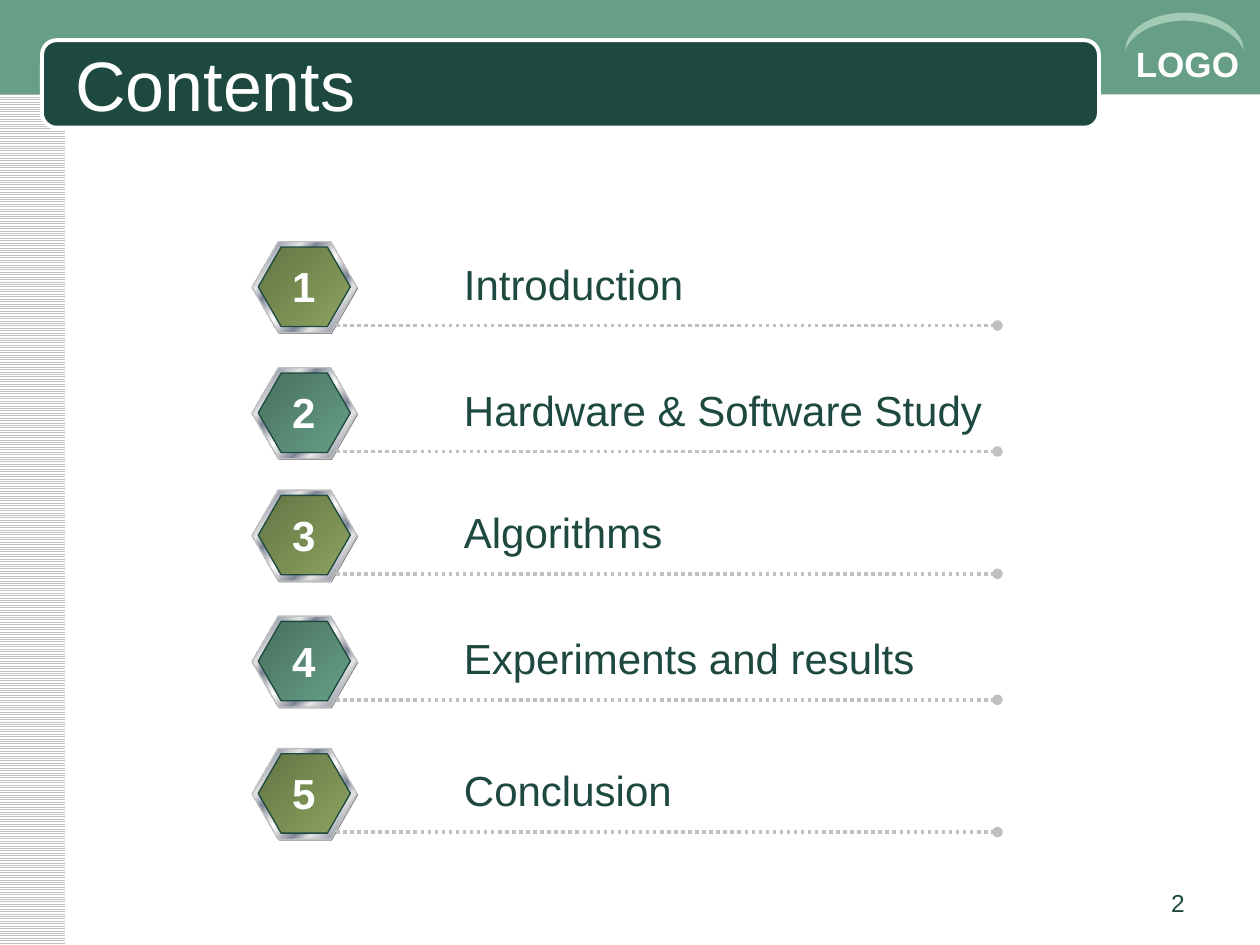
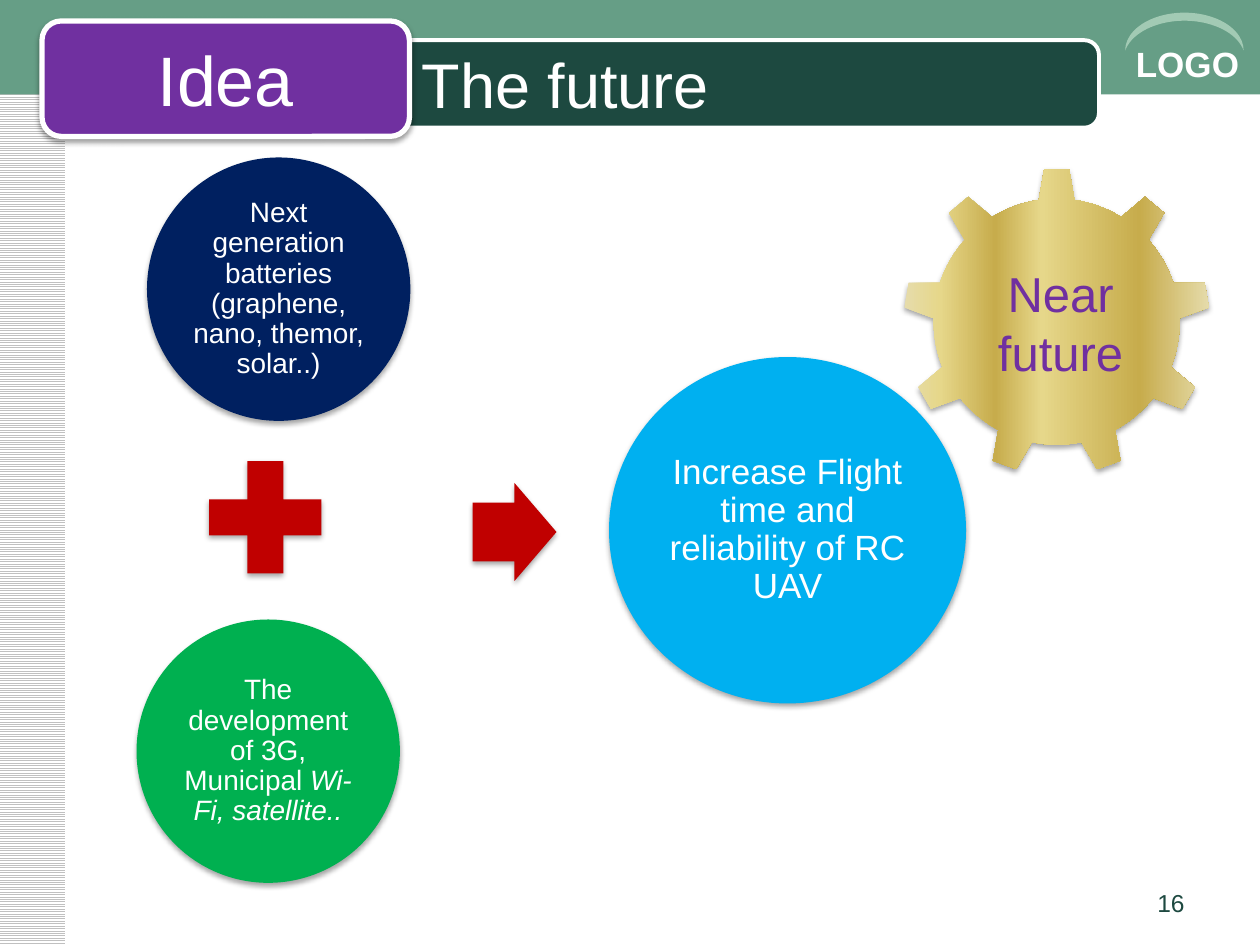
from dataclasses import dataclass
from typing import NamedTuple

from lxml.etree import SubElement
from pptx import Presentation
from pptx.dml.color import RGBColor
from pptx.enum.dml import MSO_LINE, MSO_PATTERN
from pptx.enum.shapes import MSO_CONNECTOR, MSO_SHAPE
from pptx.enum.text import MSO_ANCHOR, MSO_AUTO_SIZE, PP_ALIGN
from pptx.oxml.ns import qn
from pptx.util import Pt

# Colours
WHITE = RGBColor(0xFF, 0xFF, 0xFF)
BLACK = RGBColor(0x00, 0x00, 0x00)
SILVER = RGBColor(0xC0, 0xC0, 0xC0)
GRAY = RGBColor(0x80, 0x80, 0x80)
DARK_GREEN = RGBColor(0x1D, 0x49, 0x40)
SAGE = RGBColor(0x66, 0x9E, 0x86)
PALE_SAGE = RGBColor(0xA2, 0xCA, 0xB4)
DEEP_SAGE = RGBColor(0x49, 0x71, 0x60)
OLIVE = RGBColor(0x8C, 0xA3, 0x5F)
DEEP_OLIVE = RGBColor(0x64, 0x75, 0x44)
NAVY = RGBColor(0x00, 0x20, 0x60)
SKY = RGBColor(0x00, 0xB0, 0xF0)
GREEN = RGBColor(0x00, 0xB0, 0x50)
RED = RGBColor(0xC0, 0x00, 0x00)
PURPLE = RGBColor(0x70, 0x30, 0xA0)
CHROME_LIGHT = RGBColor(0xE6, 0xE6, 0xE6)
CHROME_DARK = RGBColor(0x7D, 0x84, 0x96)
GOLD_PALE = RGBColor(0xE6, 0xDC, 0xAC)
GOLD_LIGHT = RGBColor(0xE6, 0xD7, 0x8A)
GOLD_DARK = RGBColor(0xC7, 0xAC, 0x4C)

FONT = "Arial"
CENTERED = {"alignment": PP_ALIGN.CENTER}
CIRCLE_TEXT = {"alignment": PP_ALIGN.CENTER, "line_spacing": 0.9}


class Box(NamedTuple):
    left: float
    top: float
    width: float
    height: float


class Run(NamedTuple):
    text: str
    italic: bool = False


class Gradient(NamedTuple):
    stops: tuple
    angle: int


class Topic(NamedTuple):
    top: float
    label: str
    width: float


@dataclass
class Circle:
    box: Box
    color: RGBColor
    size: int
    inset: float
    runs: list[Run]


# Gradients: (percent, colour) stops
CHROME = Gradient((
    (0, CHROME_LIGHT), (8, CHROME_DARK), (26, CHROME_LIGHT), (34, CHROME_DARK),
    (46, CHROME_LIGHT), (50, WHITE), (54, CHROME_LIGHT), (66, CHROME_DARK),
    (74, CHROME_LIGHT), (92, CHROME_DARK), (100, CHROME_LIGHT)), 45)
GOLD = Gradient((
    (0, GOLD_PALE), (12, GOLD_LIGHT), (30, GOLD_DARK),
    (45, GOLD_LIGHT), (77, GOLD_DARK), (100, GOLD_PALE)), 0)
BADGE_FILLS = (
    Gradient(((0, DEEP_OLIVE), (100, OLIVE)), 45),
    Gradient(((0, DEEP_SAGE), (100, SAGE)), 45),
)

TOPICS = [
    Topic(138.2, "Introduction", 141),
    Topic(210.2, "Hardware & Software Study", 314),
    Topic(280.1, "Algorithms", 129),
    Topic(352.1, "Experiments and results", 275),
    Topic(427.7, "Conclusion", 135),
]

CIRCLES = [
    Circle(Box(84, 90, 150.5, 150.5), NAVY, 16, 1.6,
           [Run("Next generation batteries (graphene, nano, themor, solar..)")]),
    Circle(Box(348, 204, 204, 198), SKY, 20, 3.6,
           [Run("Increase Flight time and reliability of RC UAV")]),
    Circle(Box(78, 354, 150.5, 150.5), GREEN, 16, 1.6,
           [Run("The development of 3G, Municipal "), Run("Wi-Fi, satellite..", True)]),
]


def points(box: Box) -> list:
    return [Pt(length) for length in box]


def fill_gradient(shape, gradient: Gradient) -> None:
    shape.fill.gradient()
    shape.fill.gradient_angle = -gradient.angle % 360
    stop_list = shape.element.spPr.find(f"{qn('a:gradFill')}/{qn('a:gsLst')}")
    for stop in list(stop_list):
        stop_list.remove(stop)
    for percent, color in gradient.stops:
        stop = SubElement(stop_list, qn("a:gs"), pos=str(percent * 1000))
        SubElement(stop, qn("a:srgbClr"), val=str(color))


def add_shadow(shape, opacity: int) -> None:
    effects = shape.element.spPr.find(qn("a:effectLst"))
    shadow = SubElement(effects, qn("a:outerShdw"), blurRad=str(Pt(3.1)),
                        dist=str(Pt(1.8)), dir="5400000", rotWithShape="0")
    color = SubElement(shadow, qn("a:srgbClr"), val=str(BLACK))
    SubElement(color, qn("a:alpha"), val=str(opacity * 1000))


def draw_shape(slide, kind, box: Box, fill, line=None, line_width: float = 0.75,
               adjust: tuple = (), shadow: int = 0):
    shape = slide.shapes.add_shape(kind, *points(box))
    shape.shadow.inherit = False
    for index, value in enumerate(adjust):
        shape.adjustments[index] = value
    if isinstance(fill, Gradient):
        fill_gradient(shape, fill)
    else:
        shape.fill.solid()
        shape.fill.fore_color.rgb = fill
    if line is None:
        shape.line.fill.background()
    else:
        shape.line.color.rgb = line
        shape.line.width = Pt(line_width)
    if shadow:
        add_shadow(shape, shadow)
    return shape


def write(frame, runs: list[Run], size: int, color: RGBColor, bold: bool = False,
          paragraph_format: dict | None = None, frame_format: dict | None = None) -> None:
    for name, value in ({"word_wrap": True} | (frame_format or {})).items():
        setattr(frame, name, value)
    paragraph = frame.paragraphs[0]
    for name, value in (paragraph_format or {}).items():
        setattr(paragraph, name, value)
    for part in runs:
        run = paragraph.add_run()
        run.text = part.text
        font_format = {"name": FONT, "size": Pt(size), "bold": bold, "italic": part.italic}
        for name, value in font_format.items():
            setattr(run.font, name, value)
        run.font.color.rgb = color


def draw_text(slide, box: Box, text: str, size: int, color: RGBColor, **options) -> None:
    frame = slide.shapes.add_textbox(*points(box)).text_frame
    write(frame, [Run(text)], size, color, **options)


def add_base_slide(deck, title: str, title_box: Box, title_size: int, number: int):
    """Side stripes, top band, title bar, corner mark, title and page number."""
    slide = deck.slides.add_slide(deck.slide_layouts[6])
    stripes = draw_shape(slide, MSO_SHAPE.RECTANGLE, Box(-0.7, 0, 38, 540), WHITE)
    stripes.fill.patterned()
    stripes.fill.pattern = MSO_PATTERN.LIGHT_HORIZONTAL
    stripes.fill.fore_color.rgb = SILVER
    stripes.fill.back_color.rgb = WHITE
    draw_shape(slide, MSO_SHAPE.RECTANGLE, Box(0, 0, 720.7, 54), SAGE)
    draw_shape(slide, MSO_SHAPE.ROUNDED_RECTANGLE, Box(24, 23, 604, 50), DARK_GREEN,
               WHITE, 2.25, (0.167,))
    draw_text(slide, Box(642, 21, 78, 31), "LOGO", 20, WHITE, bold=True)
    arc = draw_shape(slide, MSO_SHAPE.MOON, Box(666, -15.8, 21.6, 67.7), PALE_SAGE,
                     adjust=(0.212,))
    arc.rotation = 90
    draw_text(slide, title_box, title, title_size, WHITE,
              frame_format={"vertical_anchor": MSO_ANCHOR.MIDDLE})
    draw_text(slide, Box(516, 504, 168, 25), str(number), 14, DARK_GREEN,
              paragraph_format={"alignment": PP_ALIGN.RIGHT})
    return slide


def draw_badge(slide, top: float, fill: Gradient) -> None:
    """Hexagon with a grey underside, a chrome rim and a coloured face."""
    layers = (
        (Box(144.6, top + 0.7, 60, 52), GRAY, None),
        (Box(144, top, 60, 52), CHROME, SILVER),
        (Box(147.6, top + 3, 52.6, 45.4), fill, DARK_GREEN),
    )
    for box, layer_fill, line in layers:
        draw_shape(slide, MSO_SHAPE.HEXAGON, box, layer_fill, line, adjust=(0.289, 1.155))


def draw_leader(slide, y: float) -> None:
    leader = slide.shapes.add_connector(
        MSO_CONNECTOR.STRAIGHT, Pt(192), Pt(y), Pt(570), Pt(y))
    leader.line.color.rgb = SILVER
    leader.line.width = Pt(2)
    leader.line.dash_style = MSO_LINE.ROUND_DOT
    properties = leader.element.spPr
    SubElement(properties.find(qn("a:ln")), qn("a:tailEnd"), type="oval")
    SubElement(properties, qn("a:effectLst"))


def build_contents(deck) -> None:
    slide = add_base_slide(deck, "Contents", Box(36, 25, 582, 45), 40, 2)
    fit = {"word_wrap": False, "auto_size": MSO_AUTO_SIZE.SHAPE_TO_FIT_TEXT}
    for index, topic in enumerate(TOPICS):
        draw_badge(slide, topic.top, BADGE_FILLS[index % 2])
        draw_leader(slide, topic.top + 47.8)
        draw_text(slide, Box(258, topic.top + 5.8, topic.width, 36), topic.label,
                  24, DARK_GREEN, frame_format=fit)
        draw_text(slide, Box(159.6, topic.top + 7.4, 28, 36), str(index + 1),
                  24, WHITE, bold=True, paragraph_format=CENTERED, frame_format=fit)


def build_future(deck) -> None:
    slide = add_base_slide(deck, "The future", Box(234, 25, 384, 45), 36, 16)

    # Two developments lead to one result
    for circle in CIRCLES:
        shape = draw_shape(slide, MSO_SHAPE.OVAL, circle.box, circle.color, shadow=35)
        sides = ("left", "top", "right", "bottom")
        insets = {f"margin_{side}": Pt(circle.inset) for side in sides}
        write(shape.text_frame, circle.runs, circle.size, WHITE,
              paragraph_format=CIRCLE_TEXT,
              frame_format={"vertical_anchor": MSO_ANCHOR.MIDDLE} | insets)
    draw_shape(slide, MSO_SHAPE.MATH_PLUS, Box(108, 252, 87.3, 87.3), RED, shadow=35)
    draw_shape(slide, MSO_SHAPE.RIGHT_ARROW, Box(270, 276, 48, 56), RED,
               adjust=(0.6, 0.5), shadow=35)

    # Golden gear
    draw_shape(slide, MSO_SHAPE.GEAR_9, Box(516, 96, 175.7, 175.7), GOLD, shadow=35)
    draw_text(slide, Box(540, 147, 132, 75), "Near future", 28, PURPLE,
              paragraph_format=CENTERED)

    # Tag over the title bar
    idea = draw_shape(slide, MSO_SHAPE.ROUNDED_RECTANGLE, Box(24, 12, 210, 66), PURPLE,
                      WHITE, 3, shadow=38)
    write(idea.text_frame, [Run("Idea")], 40, WHITE, paragraph_format=CENTERED,
          frame_format={"vertical_anchor": MSO_ANCHOR.MIDDLE})


def main() -> None:
    deck = Presentation()
    deck.slide_width, deck.slide_height = Pt(720), Pt(540)
    build_contents(deck)
    build_future(deck)
    deck.save("out.pptx")


if __name__ == "__main__":
    main()
